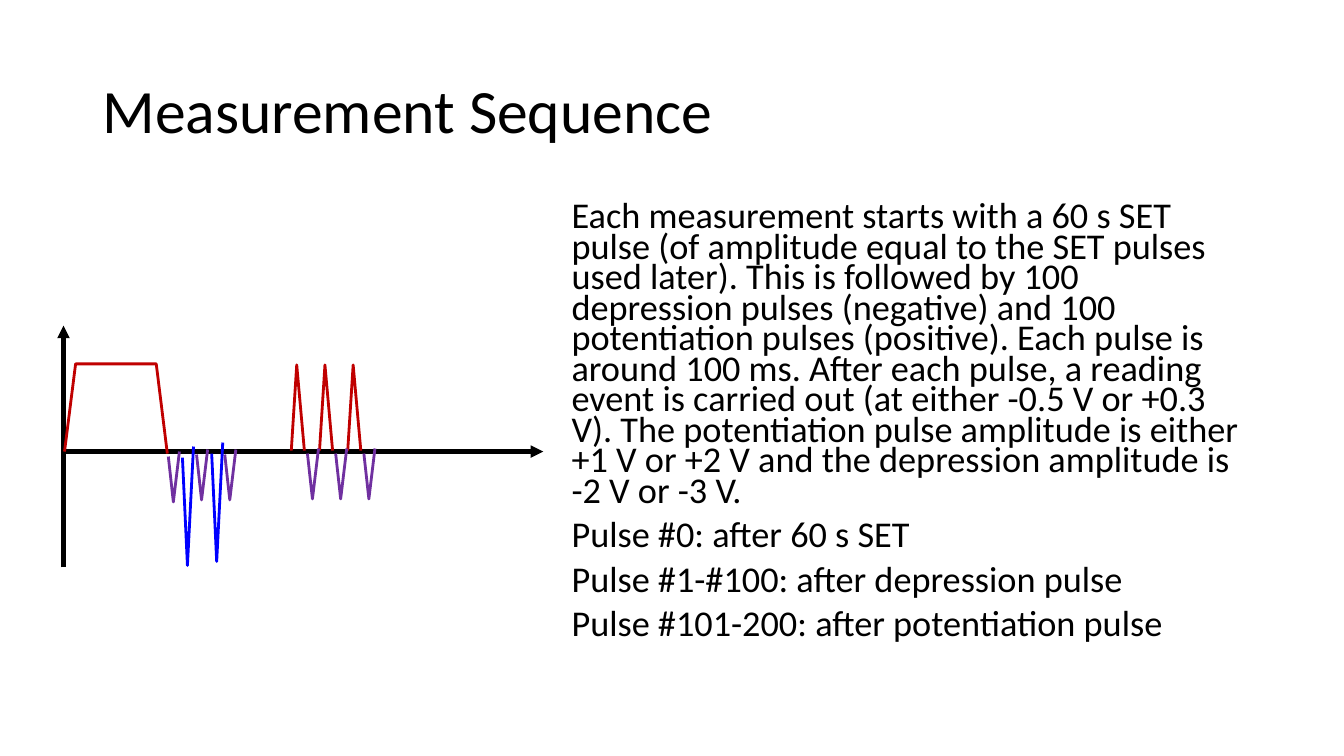
"""Build the measurement sequence slide: a pulse diagram beside its description."""
from dataclasses import dataclass
from typing import NamedTuple

from lxml.etree import SubElement
from pptx import Presentation
from pptx.dml.color import RGBColor as Color
from pptx.enum.text import MSO_ANCHOR as Anchor, MSO_AUTO_SIZE as AutoSize, PP_ALIGN as Align
from pptx.oxml.ns import qn
from pptx.shapes.autoshape import Shape
from pptx.slide import Slide
from pptx.util import Inches, Pt

COLUMNS, ROWS = 160, 90
CELL = Inches(7.5) / ROWS


class Point(NamedTuple):
    column: float
    row: float


class Box(NamedTuple):
    column: float
    row: float
    columns: float
    rows: float


@dataclass(frozen=True)
class Theme:
    font: str = "Calibri"
    ink: Color = Color(0x00, 0x00, 0x00)
    potentiation: Color = Color(0xC0, 0x00, 0x00)
    depression: Color = Color(0x00, 0x00, 0xFF)
    reading: Color = Color(0x70, 0x30, 0xA0)
    title_size: float = 44
    body_size: float = 25.9
    axis_width: float = 3
    pulse_width: float = 2


@dataclass(frozen=True)
class PulseTrain:
    color: Color
    first_column: float
    pitch: float
    start_rows: tuple[float, ...]
    apex: Point
    end: Point


THEME = Theme()
READ_APEX, READ_END = Point(0.6, 5.4), Point(1.32, -0.6)
ORIGIN = Point(7.56, 53.76)
AXES = [(ORIGIN, Point(64.68, 53.76)), (Point(7.56, 67.56), Point(7.56, 38.76))]
SET_PULSE = [Point(7.68, 53.76), Point(9, 43.32), Point(18.6, 43.32), Point(19.92, 54)]
TRAINS = [
    PulseTrain(THEME.reading, 20.04, 3.36, (54.36, 54.12, 54.12), READ_APEX, READ_END),
    PulseTrain(THEME.depression, 21.72, 3.48, (54.48, 54), Point(0.6, 12.84), Point(1.32, -1.32)),
    PulseTrain(THEME.potentiation, 34.68, 3.36, (53.64,) * 3, Point(0.65, -10.2), Point(1.56, 0)),
    PulseTrain(THEME.reading, 36.6, 3.36, (54,) * 3, READ_APEX, READ_END),
]
TITLE = "Measurement Sequence"
DESCRIPTION = [
    "Each measurement starts with a 60 s SET pulse (of amplitude equal to the SET pulses used "
    "later). This is followed by 100 depression pulses (negative) and 100 potentiation pulses "
    "(positive). Each pulse is around 100 ms. After each pulse, a reading event is carried out "
    "(at either -0.5 V or +0.3 V). The potentiation pulse amplitude is either +1 V or +2 V and "
    "the depression amplitude is -2 V or -3 V.",
    "Pulse #0: after 60 s SET",
    "Pulse #1-#100: after depression pulse",
    "Pulse #101-200: after potentiation pulse",
]


def cells(*counts: float) -> list[int]:
    """Convert grid counts to slide lengths."""
    return [round(count * CELL) for count in counts]


def fill_placeholder(shape: Shape, box: Box, lines: list[str], size: float,
                     line_spacing: float, space_before: float, anchor: Anchor) -> None:
    """Move a placeholder and set its unbulleted, left-aligned text."""
    shape.left, shape.top, shape.width, shape.height = cells(*box)
    frame = shape.text_frame
    frame.text = "\n".join(lines)
    frame.word_wrap, frame.auto_size, frame.vertical_anchor = True, AutoSize.NONE, anchor
    for paragraph in frame.paragraphs:
        paragraph.alignment = Align.LEFT
        paragraph.line_spacing = line_spacing
        paragraph.space_before = Pt(space_before)
        paragraph.font.name, paragraph.font.size = THEME.font, Pt(size)
        paragraph.font.color.rgb = THEME.ink
        properties = paragraph._p.get_or_add_pPr()
        properties.set("marL", "0")
        properties.set("indent", "0")
        bullet = properties.makeelement(qn("a:buNone"), {})
        properties.insert_element_before(bullet, "a:tabLst", "a:defRPr", "a:extLst")


def draw_axis(slide: Slide, start: Point, end: Point) -> None:
    """Draw an axis with an arrowhead at its end."""
    axis = slide.shapes.add_connector(1, *cells(*start, *end))
    axis.line.color.rgb, axis.line.width = THEME.ink, Pt(THEME.axis_width)
    SubElement(axis.line._get_or_add_ln(), qn("a:tailEnd"), type="triangle")
    SubElement(axis._element.spPr, qn("a:effectLst"))


def draw_pulse(slide: Slide, points: list[Point], color: Color) -> None:
    """Draw an open outline through the points."""
    start, *others = [tuple(cells(*point)) for point in points]
    builder = slide.shapes.build_freeform(*start)
    builder.add_line_segments(others, close=False)
    pulse = builder.convert_to_shape()
    pulse.shadow.inherit = False
    pulse.fill.background()
    pulse.line.color.rgb, pulse.line.width = color, Pt(THEME.pulse_width)


def draw_train(slide: Slide, train: PulseTrain) -> None:
    """Draw equally spaced pulses of one kind."""
    for index, row in enumerate(train.start_rows):
        column = train.first_column + index * train.pitch
        offsets = (Point(0, 0), train.apex, train.end)
        points = [Point(column + offset.column, row + offset.row) for offset in offsets]
        draw_pulse(slide, points, train.color)


def main() -> None:
    """Build and save the presentation."""
    presentation = Presentation()
    presentation.slide_width, presentation.slide_height = cells(COLUMNS, ROWS)
    slide = presentation.slides.add_slide(presentation.slide_layouts[1])
    title, body = slide.placeholders
    fill_placeholder(title, Box(11, 4.8, 138, 17.4), [TITLE], THEME.title_size, 0.9, 0,
                     Anchor.MIDDLE)
    fill_placeholder(body, Box(66.84, 23.76, 82.2, 57.36), DESCRIPTION, THEME.body_size, 0.7, 10,
                     Anchor.TOP)
    for start, end in AXES:
        draw_axis(slide, start, end)
    draw_pulse(slide, SET_PULSE, THEME.potentiation)
    for train in TRAINS:
        draw_train(slide, train)
    presentation.save("out.pptx")


main()
